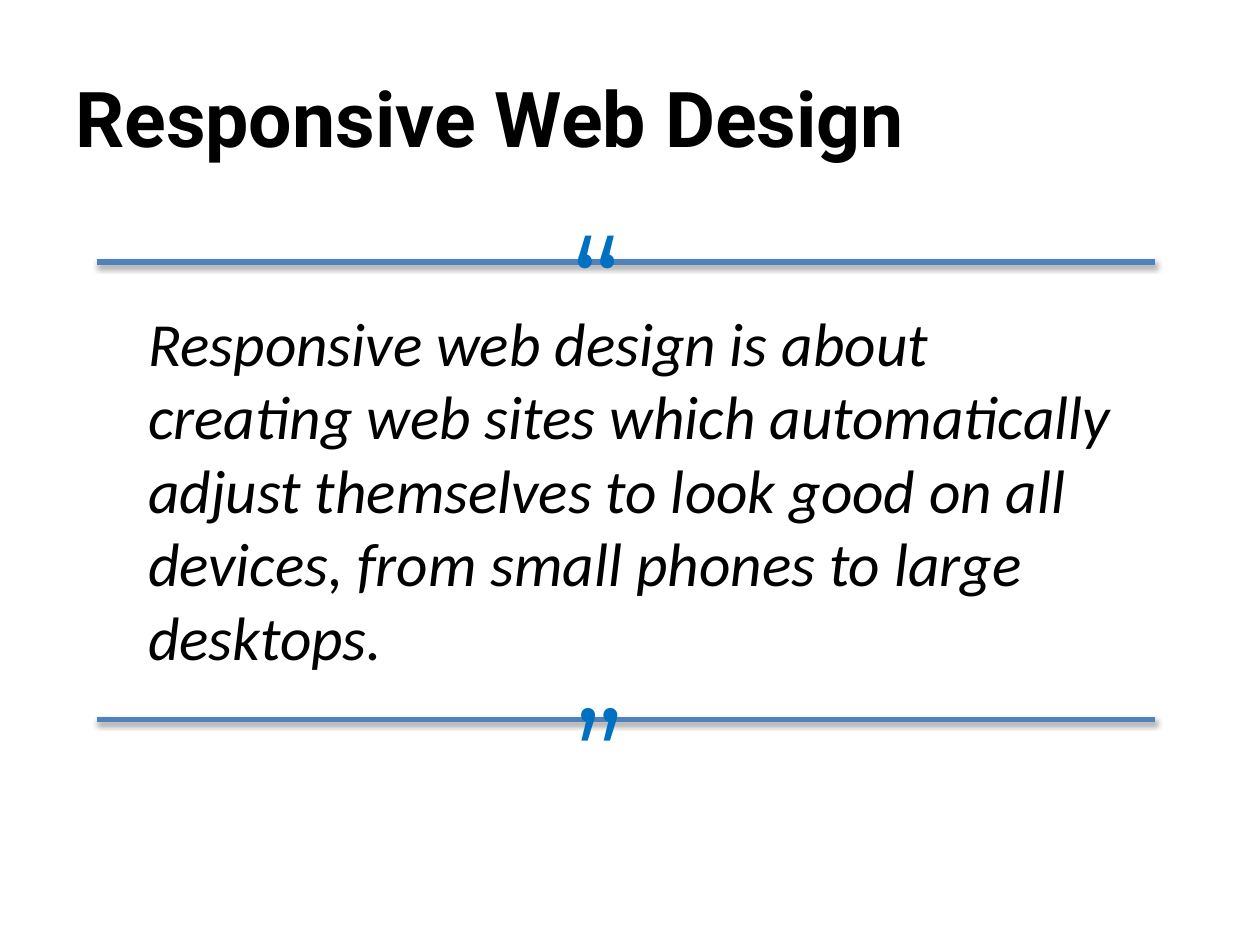
from lxml import etree
from pptx import Presentation
from pptx.dml.color import RGBColor
from pptx.enum.shapes import MSO_CONNECTOR
from pptx.enum.text import MSO_ANCHOR, PP_ALIGN
from pptx.util import Cm, Pt

STRAIGHT = MSO_CONNECTOR.STRAIGHT
TOP, MIDDLE = MSO_ANCHOR.TOP, MSO_ANCHOR.MIDDLE
LEFT, CENTER = PP_ALIGN.LEFT, PP_ALIGN.CENTER

SHADOW_XML = (
    '<a:effectLst xmlns:a="http://schemas.openxmlformats.org/drawingml/2006/main">'
    '<a:outerShdw blurRad="40000" dist="23000" dir="5400000" rotWithShape="0">'
    '<a:srgbClr val="000000"><a:alpha val="35000"/></a:srgbClr>'
    '</a:outerShdw></a:effectLst>'
)


def color(hex_string):
    return RGBColor.from_string(hex_string)


def add_text(box, text, font_name, size, hex_color, anchor=TOP, alignment=LEFT,
             bold=False, italic=False):
    """Add a wrapped text box holding one run; box is left, top, width, height in cm."""
    shape = slide.shapes.add_textbox(*(Cm(length) for length in box))
    frame = shape.text_frame
    frame.word_wrap = True
    frame.vertical_anchor = anchor
    paragraph = frame.paragraphs[0]
    paragraph.alignment = alignment
    run = paragraph.add_run()
    run.text = text
    run.font.name = font_name
    run.font.size = Pt(size)
    run.font.bold = bold
    run.font.italic = italic
    run.font.color.rgb = color(hex_color)


presentation = Presentation()
presentation.slide_width = Cm(25.4)
presentation.slide_height = Cm(19.05)
slide = presentation.slides.add_slide(presentation.slide_layouts[6])

add_text((1.27, 0.76, 22.86, 3.18), "Responsive Web Design", "Roboto", 44, "000000",
         anchor=MIDDLE, bold=True)
add_text((2.74, 6.02, 20.12, 7.75),
         "Responsive web design is about creating web sites which automatically "
         "adjust themselves to look good on all devices, from small phones to "
         "large desktops.",
         "Calibri", 35, "000000", italic=True)

for rule_top in (5.28, 14.5):
    rule = slide.shapes.add_connector(STRAIGHT, Cm(1.96), Cm(rule_top),
                                      Cm(23.29), Cm(rule_top))
    rule.line.color.rgb = color("4F81BD")
    rule.line.width = Pt(3)
    rule._element.spPr.append(etree.fromstring(SHADOW_XML))

for mark, mark_left, mark_top in (("“", 9.3, 3.96), ("”", 9.35, 13.49)):
    add_text((mark_left, mark_top, 5.46, 3.45), mark, "Montserrat", 75, "0070C0",
             alignment=CENTER)

presentation.save("out.pptx")
